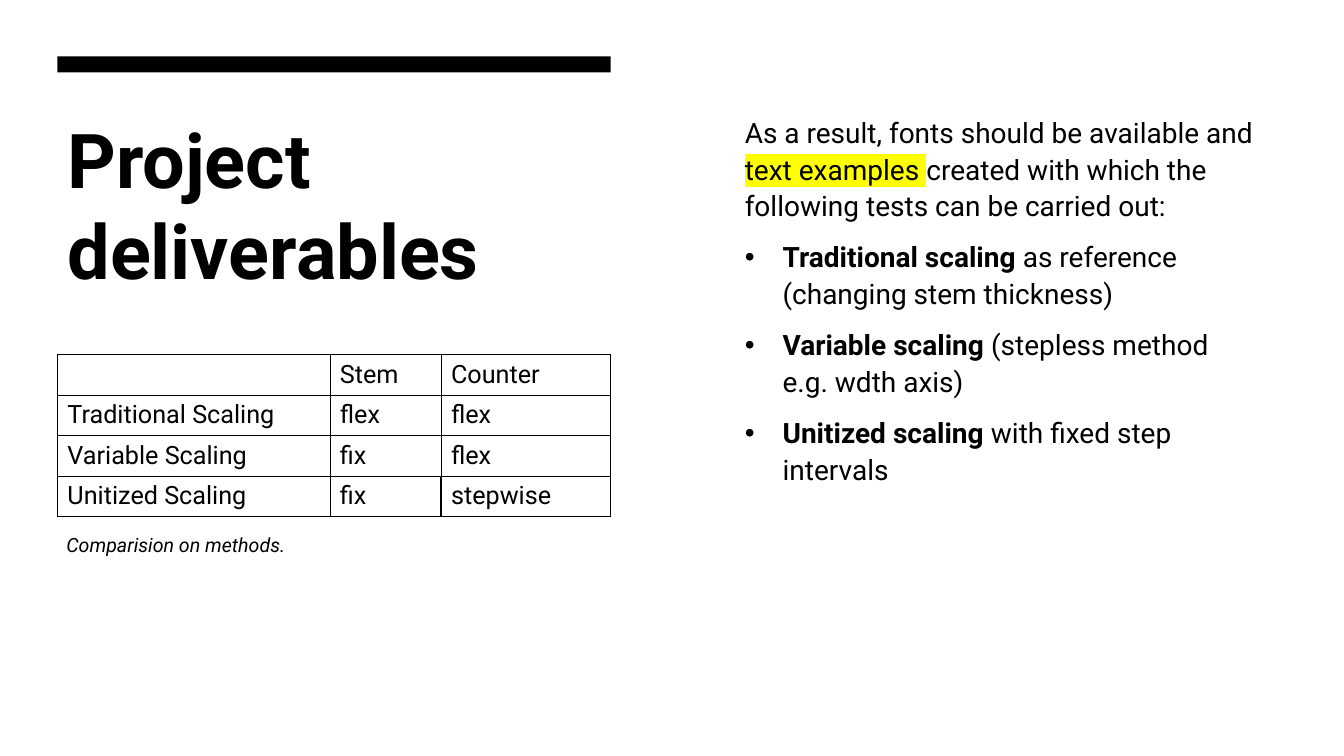
import pptx
import pptx.util
import pptx.dml.color
import pptx.enum.shapes
import pptx.enum.text
import pptx.oxml
import pptx.oxml.ns

Pt = pptx.util.Pt
RGB = pptx.dml.color.RGBColor.from_string
NS = pptx.oxml.ns.nsdecls("a")
COLORS = {"ink": "000000", "marker": "FFFF00"}
LEFT, WIDTH = Pt(41), Pt(395.3)


def style(r, size, bold=False, italic=False):
    r.font.name = "Roboto"
    r.font.size = Pt(size)
    r.font.bold = bold
    r.font.italic = italic
    r.font.color.rgb = RGB(COLORS["ink"])


prs = pptx.Presentation()
prs.slide_width, prs.slide_height = Pt(960), Pt(540)
s = prs.slides.add_slide(prs.slide_layouts[5])

# Bar above the title
bar = s.shapes.add_shape(pptx.enum.shapes.MSO_SHAPE.RECTANGLE, LEFT, Pt(40.3), WIDTH, Pt(11.5))
bar.shadow.inherit = False
bar.fill.solid()
bar.fill.fore_color.rgb = RGB(COLORS["ink"])
bar.line.fill.background()

# Title
title = s.shapes.title
title.left, title.top, title.width, title.height = LEFT, Pt(77), WIDTH, Pt(383.8)
tf = title.text_frame
tf.text = "Project deliverables"
tf.word_wrap = True
tf.auto_size = pptx.enum.text.MSO_AUTO_SIZE.NONE
tf.vertical_anchor = pptx.enum.text.MSO_ANCHOR.TOP
tf.paragraphs[0].alignment = pptx.enum.text.PP_ALIGN.LEFT
style(tf.paragraphs[0].runs[0], 54, bold=True)

# Body: an introduction and three bullets, runs as (text, format)
body = [
    [("As a result, fonts should be available and ", ""), ("text examples ", "marked"),
     ("created with which the following tests can be carried out:", "")],
    [("Traditional scaling ", "bold"), ("as reference (changing stem thickness)", "")],
    [("Variable scaling ", "bold"), ("(stepless method ", "break"), ("e.g. wdth axis)", "")],
    [("Unitized scaling ", "bold"), ("with fixed step intervals", "")],
]
tf = s.shapes.add_textbox(Pt(524.9), Pt(76.3), WIDTH, Pt(383.8)).text_frame
tf.word_wrap = True
for i, runs in enumerate(body):
    p = tf.add_paragraph() if i else tf.paragraphs[0]
    p.line_spacing = 1.1
    p.space_before = Pt(10)
    if i:
        pPr = p._p.get_or_add_pPr()
        pPr.set("marL", str(Pt(27)))
        pPr.set("indent", str(-Pt(27)))
        pPr.append(pptx.oxml.parse_xml(f'<a:buFont {NS} typeface="Arial"/>'))
        pPr.append(pptx.oxml.parse_xml(f'<a:buChar {NS} char="•"/>'))
    for text, kind in runs:
        r = p.add_run()
        r.text = text
        style(r, 20, bold=kind == "bold")
        if kind == "marked":
            r._r.rPr.find(pptx.oxml.ns.qn("a:solidFill")).addnext(pptx.oxml.parse_xml(
                f'<a:highlight {NS}><a:srgbClr val="{COLORS["marker"]}"/></a:highlight>'))
        if kind == "break":
            p.add_line_break()

# Table of methods
rows = [
    ["", "Stem", "Counter"],
    ["Traditional Scaling", "flex", "flex"],
    ["Variable Scaling", "fix", "flex"],
    ["Unitized Scaling", "fix", "stepwise"],
]
table = s.shapes.add_table(4, 3, LEFT, Pt(253.4), WIDTH, Pt(115.2)).table
table.first_row = table.horz_banding = False
for column, width in zip(table.columns, (194.6, 79.4, 121.3)):
    column.width = Pt(width)
for i, row in enumerate(rows):
    table.rows[i].height = Pt(28.8)
    for j, text in enumerate(row):
        cell = table.cell(i, j)
        cell.text = text
        cell.vertical_anchor = pptx.enum.text.MSO_ANCHOR.MIDDLE
        for r in cell.text_frame.paragraphs[0].runs:
            style(r, 18)
        # Outer edges and the line before "stepwise" are heavier
        heavy = {"L": j == 0 or (i, j) == (3, 2), "R": j == 2 or (i, j) == (3, 1),
                 "T": i == 0, "B": i == 3}
        for side, is_heavy in heavy.items():
            cell._tc.get_or_add_tcPr().append(pptx.oxml.parse_xml(
                f'<a:ln{side} {NS} w="{Pt(1 if is_heavy else 0.5)}"><a:solidFill>'
                f'<a:srgbClr val="{COLORS["ink"]}"/></a:solidFill></a:ln{side}>'))
        cell.fill.background()

# Table caption
tf = s.shapes.add_textbox(Pt(40.3), Pt(377.3), Pt(436.3), Pt(24.5)).text_frame
tf.word_wrap = True
tf.text = "Comparision on methods."
style(tf.paragraphs[0].runs[0], 14, italic=True)

prs.save("out.pptx")
